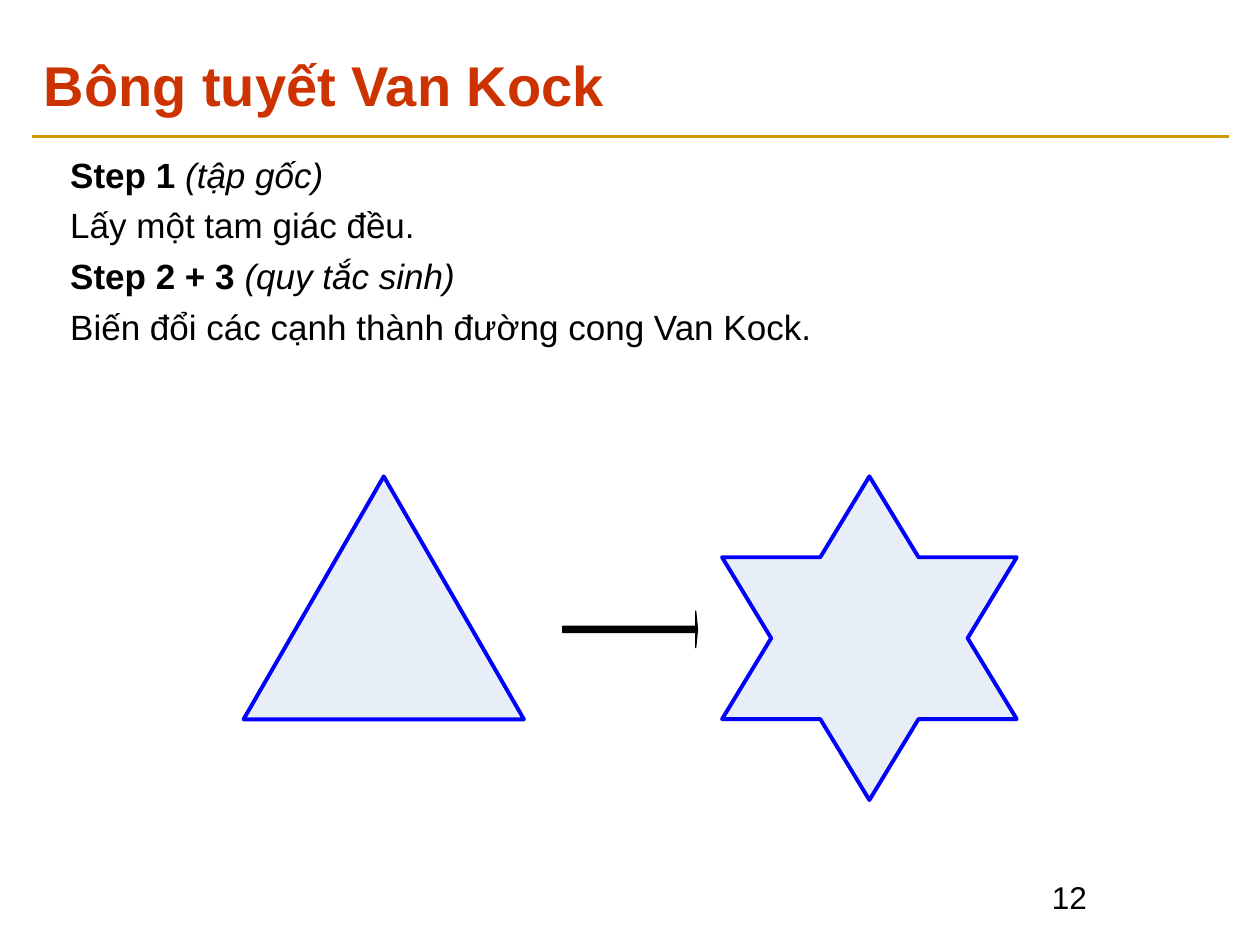
"""Build the Van Kock snowflake slide."""
from lxml import etree
from pptx import Presentation
from pptx import util as u
from pptx.dml.color import RGBColor
from pptx.enum import shapes, text
from pptx.oxml.ns import qn

BLACK = RGBColor(0x00, 0x00, 0x00)
RED = RGBColor(0xCC, 0x33, 0x00)
GOLD = RGBColor(0xCC, 0x99, 0x00)
BLUE = RGBColor(0x00, 0x00, 0xFF)
PALE = RGBColor(0xE8, 0xEE, 0xF7)

TRIANGLE = [(1, 0), (2, 1), (0, 1)]
STAR = [(3, 0), (4, 1), (6, 1), (5, 2), (6, 3), (4, 3),
        (3, 4), (2, 3), (0, 3), (1, 2), (0, 1), (2, 1)]
BODY = [
    [("Step 1", True, False), (" (tập gốc)", False, True)],
    [("Lấy một tam giác đều.", False, False)],
    [("Step 2 + 3", True, False), (" (quy tắc sinh)", False, True)],
    [("Biến đổi các cạnh thành đường cong Van Kock.", False, False)],
]


class Deck:
    def __init__(self, slide, font="Arial"):
        self.s = slide
        self.font = font

    def rule(self, x1, y1, x2, y2, color, width):
        sp = self.s.shapes.add_connector(
            shapes.MSO_CONNECTOR.STRAIGHT, u.Pt(x1), u.Pt(y1), u.Pt(x2), u.Pt(y2))
        sp.line.color.rgb = color
        sp.line.width = u.Pt(width)
        etree.SubElement(sp._element.spPr, qn("a:effectLst"))

    def text(self, x, y, w, h, paragraphs, size, color=BLACK,
             anchor=text.MSO_ANCHOR.TOP, space=0):
        tf = self.s.shapes.add_textbox(u.Pt(x), u.Pt(y), u.Pt(w), u.Pt(h)).text_frame
        tf.word_wrap = True
        tf.vertical_anchor = anchor
        for i, runs in enumerate(paragraphs):
            p = tf.add_paragraph() if i else tf.paragraphs[0]
            p.font.name = self.font
            p.font.size = u.Pt(size)
            p.font.color.rgb = color
            if i:
                p.space_before = u.Pt(space)
            for words, bold, italic in runs:
                r = p.add_run()
                r.text = words
                r.font.bold = bold
                r.font.italic = italic

    def paint(self, sp, fill, line, width):
        sp.shadow.inherit = False
        sp.fill.solid()
        sp.fill.fore_color.rgb = fill
        sp.line.color.rgb = line
        sp.line.width = u.Pt(width)

    def polygon(self, x, y, dx, dy, grid):
        points = [(u.Pt(x + c * dx), u.Pt(y + r * dy)) for c, r in grid]
        fb = self.s.shapes.build_freeform(*points[0])
        fb.add_line_segments(points[1:], close=True)
        self.paint(fb.convert_to_shape(), PALE, BLUE, 2.25)

    def arrow(self, x, y, w, h, shaft, head):
        sp = self.s.shapes.add_shape(
            shapes.MSO_SHAPE.RIGHT_ARROW, u.Pt(x), u.Pt(y), u.Pt(w), u.Pt(h))
        sp.adjustments[0] = shaft
        sp.adjustments[1] = head
        self.paint(sp, BLACK, BLACK, 0.75)


def main():
    prs = Presentation()
    prs.slide_width, prs.slide_height = u.Pt(720), u.Pt(540)
    deck = Deck(prs.slides.add_slide(prs.slide_layouts[6]))
    deck.rule(18, 78, 702, 78, GOLD, 2.25)
    deck.text(594, 498, 108, 36, [[("12", False, False)]], 18)
    deck.text(18, 24, 684, 48, [[("Bông tuyết Van Kock", True, False)]], 32, RED,
              text.MSO_ANCHOR.MIDDLE)
    deck.text(33, 84, 655, 414, BODY, 20, space=5)
    deck.polygon(139.2, 272.2, 80.1, 138.8, TRIANGLE)
    deck.polygon(412.6, 272.2, 28.07, 46.25, STAR)
    deck.arrow(321.6, 349.2, 77, 20.9, 0.165, 0.048)
    prs.save("out.pptx")


if __name__ == "__main__":
    main()
